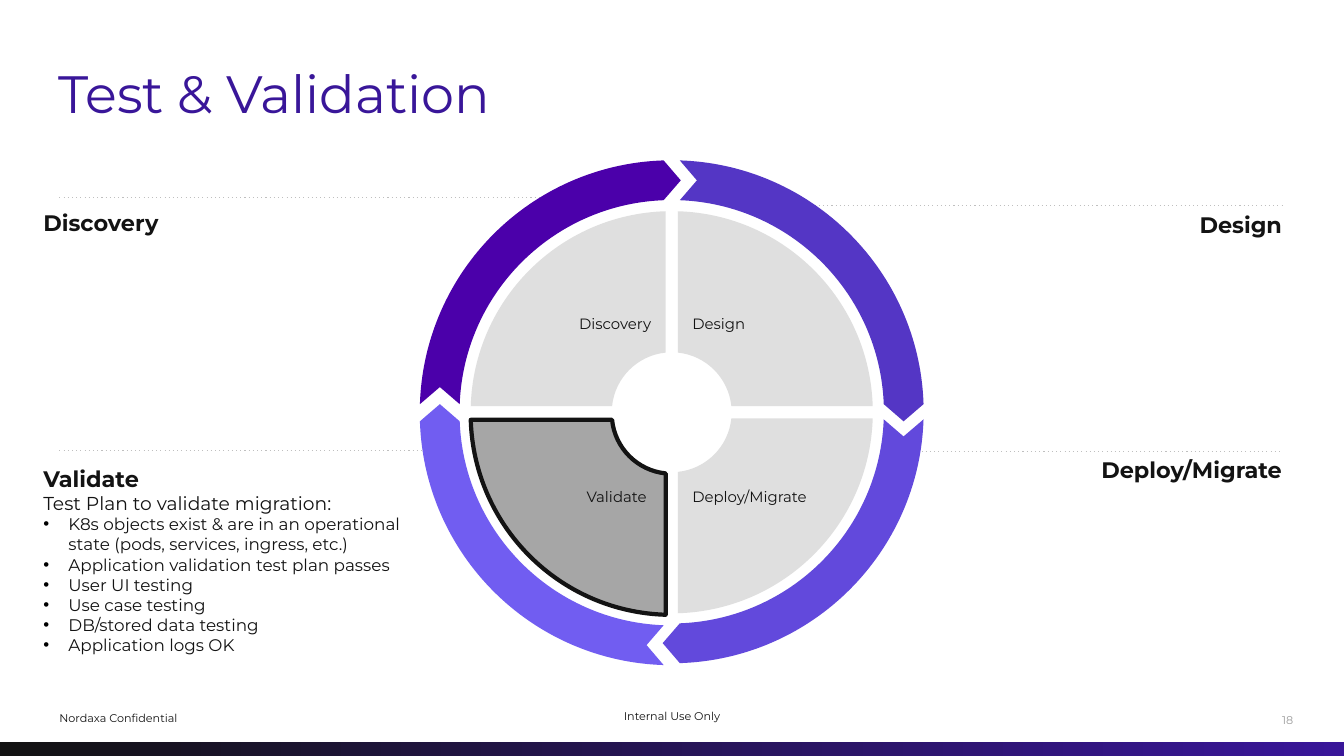
"""Build the Test & Validation slide: a four-stage cycle with notes."""
import math
import pptx
import pptx.util
import pptx.dml.color
import pptx.enum.dml
import pptx.enum.shapes
import pptx.enum.text
import pptx.oxml
import pptx.oxml.ns
from dataclasses import dataclass, field


@dataclass
class Theme:
    font: str = "Montserrat"
    ink: str = "131313"
    brand: str = "391699"
    faint: str = "9C9C9C"
    rule: str = "BFBFBF"
    pale: str = "DFDFDF"
    dark: str = "A6A6A6"
    dot: str = "000000"
    size: dict = field(default_factory=lambda: {
        "title": 75, "head": 32, "lead": 26.7, "item": 24, "label": 21.3, "foot": 16})


theme = Theme()
PLAN = [("Test Plan to validate migration:", "lead")] + [(item, "item") for item in (
    "K8s objects exist & are in an operational state (pods, services, ingress, etc.)",
    "Application validation test plan passes",
    "User UI testing",
    "Use case testing",
    "DB/stored data testing",
    "Application logs OK")]

STAGES = [
    dict(name="Design", side="r", ring="5436C5", rule=(59.99, 95.39, 27.2),
         note=(73.23, 26.13, 22.16, 5.33), label=(50.51, 40.7)),
    dict(name="Deploy/Migrate", side="r", ring="6249DC", rule=(67, 95.39, 59.67),
         note=(73.23, 58.6, 22.16, 5.33), label=(50.51, 63.67), lift=-0.13),
    dict(name="Validate", side="l", ring="715DF1", rule=(4.42, 32.43, 59.53),
         note=(3.22, 59.73, 26.85, 30.2), label=(35.51, 63.67), body=PLAN,
         lift=0.13, drop=0.2),
    dict(name="Discovery", side="l", ring="4B00AA", rule=(4.42, 43.46, 26.13),
         note=(3.22, 25.93, 21.45, 5.33), label=(35.85, 40.7)),
]
FOOT = [
    ("Internal Use Only", (36.15, 91.87, 27.71, 5.6), "c", theme.ink),
    ("18", (95.39, 92.33, 4.61, 5.8), "l", theme.faint),
    ("Nordaxa Confidential", (4.42, 91.87, 27.71, 6.27), "l", theme.ink),
]
RING = dict(outer=33.33, inner=28.07, gap=1.07, mid=30.67, tip=1.2, notch=3.33)
FAN = dict(outer=26.6, inner=7.93, gap=0.8)
HUB = (49.98, 54.53)

deck = pptx.Presentation()
deck.slide_width = pptx.util.Inches(26.67)
deck.slide_height = pptx.util.Inches(15)
COL, ROW = deck.slide_width / 100, deck.slide_height / 100
slide = deck.slides.add_slide(deck.slide_layouts[6])
SPACE = pptx.oxml.ns.nsdecls("a")
ALIGN = {"l": pptx.enum.text.PP_ALIGN.LEFT, "c": pptx.enum.text.PP_ALIGN.CENTER,
         "r": pptx.enum.text.PP_ALIGN.RIGHT}


def rgb(code):
    return pptx.dml.color.RGBColor.from_string(code)


def place(box):
    return [round(n * unit) for n, unit in zip(box, (COL, ROW, COL, ROW))]


def bullet(para):
    props = para._p.get_or_add_pPr()
    props.set("marL", str(round(1.87 * COL)))
    props.set("indent", str(-round(1.87 * COL)))
    for part in (f'<a:buClr {SPACE}><a:srgbClr val="{theme.dot}"/></a:buClr>',
                 f'<a:buFont {SPACE} typeface="Arial"/>', f'<a:buChar {SPACE} char="•"/>'):
        props.append(pptx.oxml.parse_xml(part))


def put(text, box, kind="label", color=theme.ink, align="l", middle=False,
        inset=(0, 0, 0, 0), more=()):
    frame = slide.shapes.add_textbox(*place(box)).text_frame
    frame.word_wrap = True
    anchor = pptx.enum.text.MSO_ANCHOR
    frame.vertical_anchor = anchor.MIDDLE if middle else anchor.TOP
    (frame.margin_left, frame.margin_top,
     frame.margin_right, frame.margin_bottom) = place(inset)
    for i, (line, style) in enumerate([(text, kind), *more]):
        para = frame.add_paragraph() if i else frame.paragraphs[0]
        para.alignment = ALIGN[align]
        if style == "item":
            bullet(para)
        run = para.add_run()
        run.text = line
        run.font.name = theme.font
        run.font.size = pptx.util.Pt(theme.size[style])
        run.font.bold = style == "head"
        run.font.color.rgb = rgb(color)


def rule(left, right, top):
    line = slide.shapes.add_connector(pptx.enum.shapes.MSO_CONNECTOR.STRAIGHT,
                                      *place((left, top, right, top)))
    line.line.color.rgb = rgb(theme.rule)
    line.line.width = pptx.util.Pt(1.5)
    line.line.dash_style = pptx.enum.dml.MSO_LINE.ROUND_DOT
    props = line._element.spPr
    props.find(".//" + pptx.oxml.ns.qn("a:prstDash")).set("val", "dot")
    props.append(pptx.oxml.parse_xml(f"<a:effectLst {SPACE}/>"))


def arc(radius, gap):
    near = math.asin(gap / radius)
    pull = 4 / 3 * math.tan((math.pi / 2 - 2 * near) / 4)
    x, y = radius * math.sin(near), radius * math.cos(near)
    return [(x, y), (x + pull * y, y - pull * x), (y - pull * x, x + pull * y), (y, x)]


def band(outer, inner, gap, mid=0, tip=0, notch=0):
    rim, core = arc(outer, gap), arc(inner, gap)[::-1]
    head, tail = ([[(mid, -tip)]], [[(notch, mid)]]) if mid else ([], [])
    return [rim[:1], rim[1:], *head, core[:1], core[1:], *tail]


def draw(nodes, turn, fill, shift=0, edge=None):
    def spot(x, y):
        for _ in range(turn):
            x, y = y, -x
        return round(HUB[0] * COL + x * ROW), round((HUB[1] + shift - y) * ROW)

    nodes = [[spot(*point) for point in node] for node in nodes]
    ends = [node[-1] for node in nodes]
    pen = slide.shapes.build_freeform(*ends[0], scale=1.0)
    pen.add_line_segments(ends[1:], close=True)
    shape = pen.convert_to_shape()
    steps = shape._element.findall(".//" + pptx.oxml.ns.qn("a:lnTo"))
    for step, node in zip(steps, nodes[1:]):
        if len(node) == 3:
            dots = "".join(f'<a:pt x="{x - shape.left}" y="{y - shape.top}"/>'
                           for x, y in node)
            step.getparent().replace(step, pptx.oxml.parse_xml(
                f"<a:cubicBezTo {SPACE}>{dots}</a:cubicBezTo>"))
    shape.shadow.inherit = False
    shape.fill.solid()
    shape.fill.fore_color.rgb = rgb(fill)
    if edge:
        shape.line.color.rgb = rgb(edge)
        shape.line.width = pptx.util.Pt(6)
    else:
        shape.line.fill.background()


def strip():
    bar = slide.shapes.add_shape(pptx.enum.shapes.MSO_SHAPE.RECTANGLE,
                                 *place((0, 98.17, 100, 1.83)))
    bar.shadow.inherit = False
    bar.line.fill.background()
    bar.fill.gradient()
    bar.fill.gradient_angle = 0
    for stop, color in zip(bar.fill.gradient_stops, (theme.ink, theme.brand)):
        stop.color.rgb = rgb(color)


strip()
for stage in STAGES:
    rule(*stage["rule"])
    put(stage["name"], stage["note"], kind="head", align=stage["side"],
        inset=(0, 1.73, 0, 0), more=stage.get("body", ()))
for turn, stage in enumerate(STAGES):
    draw(band(**RING), turn, stage["ring"], shift=stage.get("lift", 0))
for turn, stage in enumerate(STAGES):
    live = "body" in stage
    draw(band(**FAN), turn, theme.dark if live else theme.pale,
         shift=stage.get("drop", 0), edge=theme.ink if live else None)
for stage in STAGES:
    put(stage["name"], (*stage["label"], 13.61, 4.2), inset=(1.01, 0.87, 1.01, 0.87),
        align="l" if stage["side"] == "r" else "r")
put("Test & Validation", (4.33, 8.08, 90.48, 11.47), kind="title", color=theme.brand)
for text, box, align, color in FOOT:
    put(text, box, kind="foot", color=color, align=align, middle=True)
deck.save("out.pptx")
